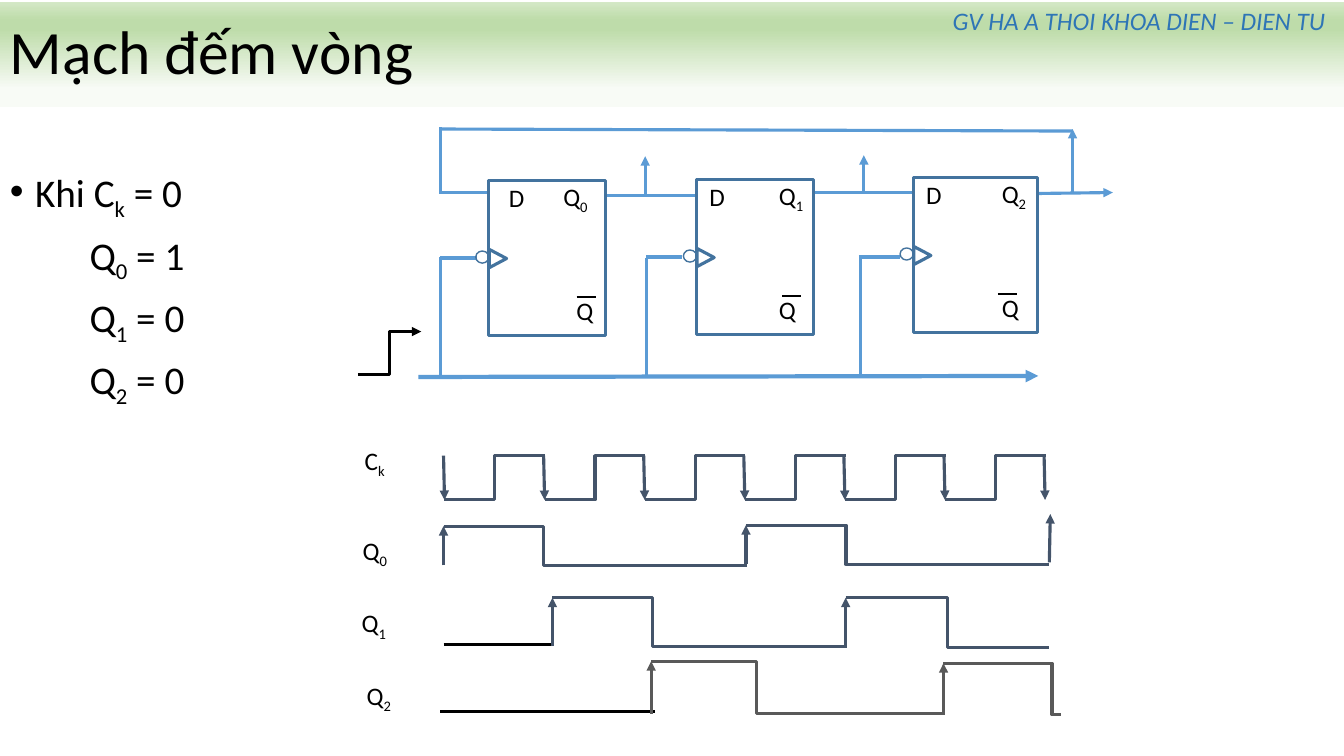
from dataclasses import dataclass
from typing import NamedTuple

from lxml import etree
from pptx import Presentation
from pptx.dml.color import RGBColor
from pptx.enum.shapes import MSO_CONNECTOR, MSO_SHAPE
from pptx.enum.text import MSO_ANCHOR, PP_ALIGN
from pptx.oxml.ns import qn
from pptx.util import Inches, Length, Pt

STRAIGHT, ELBOW = MSO_CONNECTOR.STRAIGHT, MSO_CONNECTOR.ELBOW
RECT, OVAL, WEDGE = MSO_SHAPE.RECTANGLE, MSO_SHAPE.OVAL, MSO_SHAPE.ISOSCELES_TRIANGLE
MIDDLE, TOP = MSO_ANCHOR.MIDDLE, MSO_ANCHOR.TOP
LEFT, CENTER = PP_ALIGN.LEFT, PP_ALIGN.CENTER

BLACK = RGBColor(0x00, 0x00, 0x00)
BLUE = RGBColor(0x5B, 0x9B, 0xD5)
STEEL = RGBColor(0x43, 0x73, 0x9E)
NAVY = RGBColor(0x2E, 0x75, 0xB6)
SLATE = RGBColor(0x44, 0x54, 0x6A)
GRAY = RGBColor(0x59, 0x59, 0x59)
PALE = RGBColor(0xF8, 0xFB, 0xF6)
GREEN = RGBColor(0xBE, 0xDC, 0xAA)
LIGHT = RGBColor(0xD4, 0xE8, 0xC6)

FONT = "Calibri"
COLS, ROWS = 133.33, 75  # square cells of a tenth of an inch


class Wire(NamedTuple):
    x1: float
    y1: float
    x2: float
    y2: float
    color: RGBColor = BLUE
    arrow: bool = False
    width: float = 2.25
    bend: float | None = None


class Pulse(NamedTuple):
    """A rising arrow, then a high level that falls at share `bend`."""
    x: float
    top: float
    end: float
    low: float
    bend: float
    color: RGBColor = SLATE


class Label(NamedTuple):
    x: float
    y: float
    text: str


@dataclass
class Flop:
    x: float
    y: float
    w: float
    data: float
    out: float
    inv: float
    bar: float


FLOPS = [
    Flop(48.5, 17.9, 11.6, 49.5, 54.9, 56.2, 57.2),
    Flop(69.1, 17.8, 11.6, 69.4, 76.3, 76.3, 77.6),
    Flop(90.6, 17.6, 12.3, 90.9, 98.4, 98.4, 99.0),
]

WIRES = [
    # feedback loop
    Wire(43.7, 19.2, 43.7, 12.6), Wire(43.6, 19.1, 48.6, 19.1),
    Wire(43.6, 12.8, 106.4, 13), Wire(106.4, 19.2, 106.4, 12.8, arrow=True),
    # stages and outputs
    Wire(60.1, 19.4, 69.2, 19.4), Wire(80.6, 19.1, 90.7, 19.1),
    Wire(102.8, 19.2, 110.4, 19.1, arrow=True),
    Wire(64, 19.2, 64, 15.5, arrow=True), Wire(85.7, 19.1, 85.7, 15.4, arrow=True),
    # clock line and its taps
    Wire(41.5, 37.4, 103, 37.3, arrow=True, width=3),
    Wire(43.7, 37.4, 43.7, 25.5), Wire(43.7, 25.6, 47.3, 25.6),
    Wire(64.1, 37.5, 64.1, 25.6), Wire(64.1, 25.5, 67.7, 25.5),
    Wire(85.4, 37.2, 85.4, 25.7), Wire(85.2, 25.5, 89.3, 25.5),
    Wire(35.5, 37.2, 41.8, 32.9, BLACK, True, bend=0.5),
    # first levels and last rise of the timing chart
    Wire(44, 63.9, 54.8, 63.9, BLACK), Wire(43.7, 70.6, 65, 70.6, BLACK),
    Wire(104.1, 55.8, 104.2, 51, SLATE, True),
]

PULSES = [
    Pulse(44, 52.2, 74.1, 56.1, 0.33), Pulse(74, 52.1, 104.1, 56, 0.33),
    Pulse(54.8, 59.3, 84, 64.1, 0.34), Pulse(83.9, 59.3, 104.1, 64.2, 0.5),
    Pulse(64.6, 65.6, 93.6, 70.8, 0.36, GRAY),
    Pulse(93.6, 65.8, 105.3, 70.9, 0.92, GRAY),
]
TICKS, START, PITCH, HIGH, LOW = 6, 44, 9.93, 45.2, 49.6

NAMES = [Label(35.2, 43.7, "C|k"), Label(35, 52.6, "Q|0"),
         Label(34.9, 59.8, "Q|1"), Label(35.4, 67, "Q|2")]
STATES = ["Khi C|k| = 0", "Q|0| = 1", "Q|1| = 0", "Q|2| = 0"]


def cell(count: float) -> Length:
    return Inches(count / 10)


def write(para, text: str, size: float, color: RGBColor, slant: bool = False) -> None:
    """Add runs; every second piece between bars is a subscript."""
    for i, piece in enumerate(text.split("|")):
        run = para.add_run()
        run.text = piece
        font = run.font
        font.name, font.size, font.italic = FONT, Pt(size), slant
        font.color.rgb = color
        if i % 2:
            run._r.get_or_add_rPr().set("baseline", "-25000")


def draw_wire(slide, wire: Wire) -> None:
    kind = STRAIGHT if wire.bend is None else ELBOW
    link = slide.shapes.add_connector(
        kind, cell(wire.x1), cell(wire.y1), cell(wire.x2), cell(wire.y2))
    link.line.color.rgb, link.line.width = wire.color, Pt(wire.width)
    props = link._element.spPr
    if wire.bend is not None:
        guide = etree.SubElement(props.find(".//" + qn("a:avLst")), qn("a:gd"))
        guide.set("name", "adj1")
        guide.set("fmla", f"val {round(wire.bend * 100000)}")
    if wire.arrow:
        etree.SubElement(props.find(qn("a:ln")), qn("a:tailEnd")).set("type", "triangle")
    etree.SubElement(props, qn("a:effectLst"))


def draw_shape(slide, kind: MSO_SHAPE, x: float, y: float, w: float, h: float,
               width: float = 2.25):
    shape = slide.shapes.add_shape(kind, cell(x), cell(y), cell(w), cell(h))
    shape.shadow.inherit = False
    shape.fill.background()
    shape.line.color.rgb, shape.line.width = STEEL, Pt(width)
    return shape


def draw_label(slide, label: Label) -> None:
    box = slide.shapes.add_textbox(cell(label.x), cell(label.y), cell(4.6), cell(4))
    write(box.text_frame.paragraphs[0], label.text, 18, BLACK)


def draw_flop(slide, flop: Flop, index: int) -> None:
    x, y = flop.x, flop.y
    draw_shape(slide, RECT, x, y, flop.w, 15.4)
    draw_shape(slide, WEDGE, x, y + 6.9, 1.8, 1.7).rotation = 90
    draw_shape(slide, OVAL, x - 1.3, y + 7, 1.3, 1.2, 1)
    draw_label(slide, Label(flop.data, y - 0.3, "D"))
    draw_label(slide, Label(flop.out, y - 0.4, f"Q|{index}"))
    draw_label(slide, Label(flop.inv, y + 10.9, "Q"))
    draw_wire(slide, Wire(flop.bar, y + 11.6, flop.bar + 1.9, y + 11.6, BLACK, width=1.5))


def draw_title(slide) -> None:
    band = draw_shape(slide, RECT, 0, 0.2, COLS, 10.4)
    band.line.fill.background()
    band.fill.gradient()
    band.fill.gradient_angle = 90
    stops = band._element.spPr.find(".//" + qn("a:gsLst"))
    for old in list(stops):
        stops.remove(old)
    for share, color in [(17, PALE), (74, GREEN), (83, GREEN), (100, LIGHT)]:
        stop = etree.SubElement(stops, qn("a:gs"))
        stop.set("pos", str(share * 1000))
        etree.SubElement(stop, qn("a:srgbClr")).set("val", str(color))
    band.text_frame.vertical_anchor = MIDDLE
    para = band.text_frame.paragraphs[0]
    para.alignment, para.line_spacing = LEFT, 0.9
    write(para, "Mạch đếm vòng", 44, BLACK)

    box = slide.shapes.add_textbox(cell(93), 0, cell(40), cell(4))
    para = box.text_frame.paragraphs[0]
    para.alignment = CENTER
    write(para, "GV HA A THOI KHOA DIEN – DIEN TU", 18, NAVY, True)


def draw_states(slide) -> None:
    box = slide.shapes.add_textbox(0, cell(10.6), cell(COLS), cell(64.4))
    frame = box.text_frame
    frame.word_wrap, frame.vertical_anchor = True, TOP
    frame.margin_top = cell(6.2)
    for i, text in enumerate(STATES):
        para = frame.add_paragraph() if i else frame.paragraphs[0]
        para.line_spacing, para.space_before = 0.9, Pt(10 if i else 0)
        props = para._p.get_or_add_pPr()
        props.set("marL", str(cell(7.9 if i else 2.5)))
        if not i:
            props.set("indent", str(-cell(2.5)))
            etree.SubElement(props, qn("a:buFont")).set("typeface", "Arial")
            etree.SubElement(props, qn("a:buChar")).set("char", "•")
        write(para, text, 28, BLACK)


def draw_chart(slide) -> None:
    for i in range(TICKS + 1):
        x = START + i * PITCH
        draw_wire(slide, Wire(x, HIGH, x + 0.1, LOW, SLATE, True))
        if i < TICKS:
            draw_wire(slide, Wire(x + 0.1, LOW, x + 10.1, HIGH, SLATE, bend=0.5))
    for x, top, end, low, bend, color in PULSES:
        draw_wire(slide, Wire(x, low, x, top, color, True))
        draw_wire(slide, Wire(x, top, end, low, color, bend=bend))
    for label in NAMES:
        draw_label(slide, label)


def main() -> None:
    deck = Presentation()
    deck.slide_width, deck.slide_height = cell(COLS), cell(ROWS)
    slide = deck.slides.add_slide(deck.slide_layouts[6])
    draw_title(slide)
    draw_states(slide)
    for wire in WIRES:
        draw_wire(slide, wire)
    for i, flop in enumerate(FLOPS):
        draw_flop(slide, flop, i)
    draw_chart(slide)
    deck.save("out.pptx")


if __name__ == "__main__":
    main()
